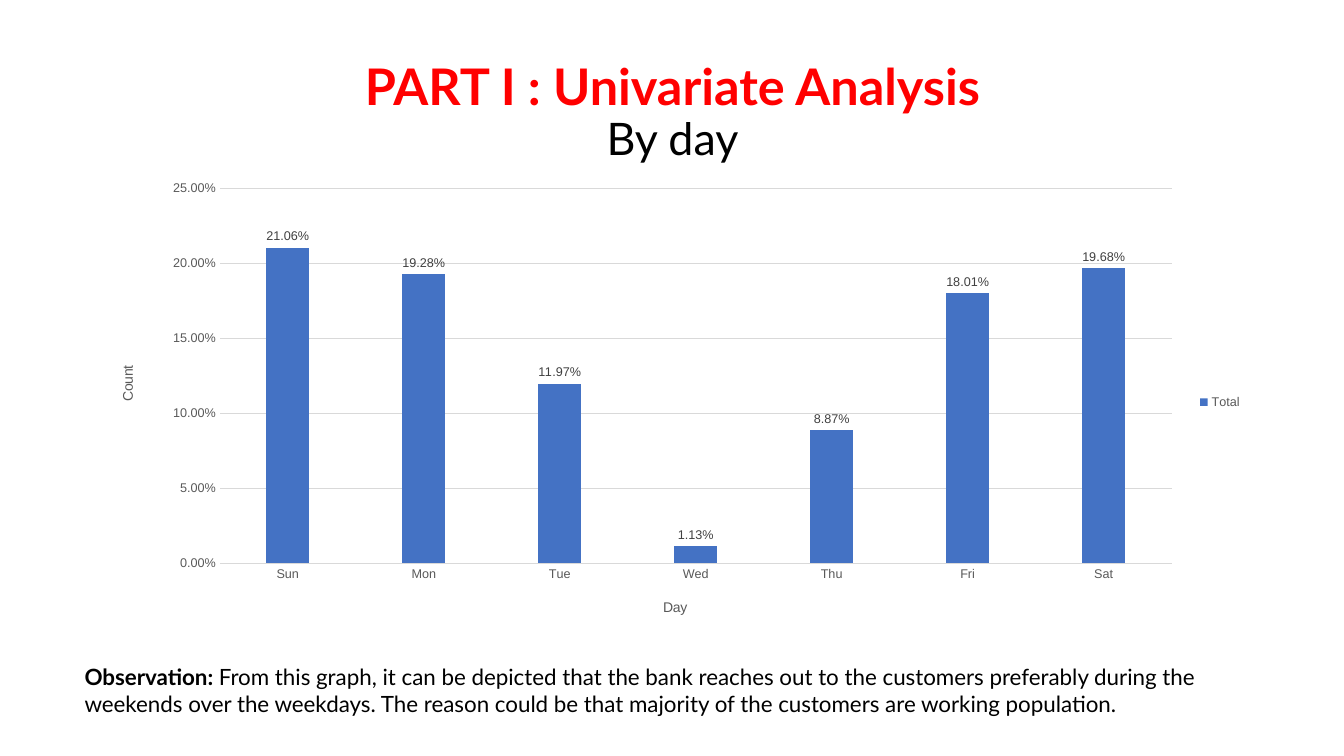
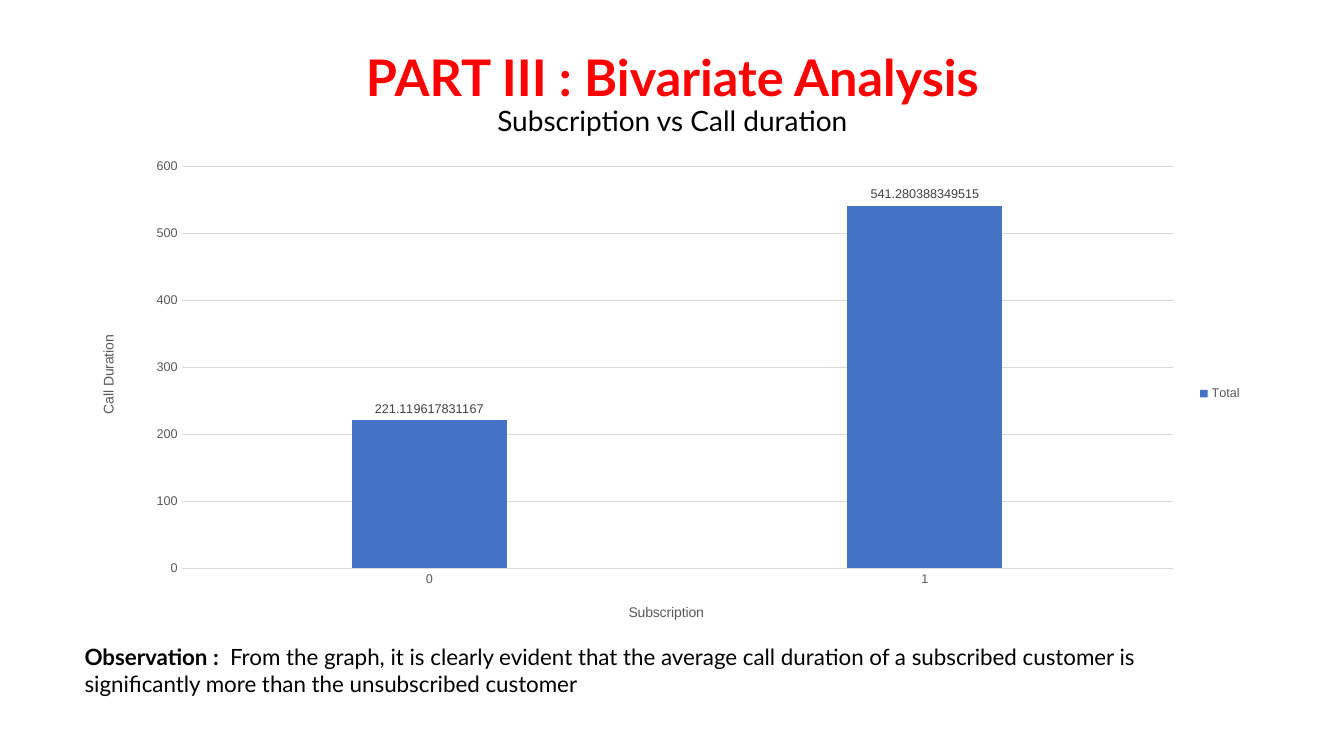
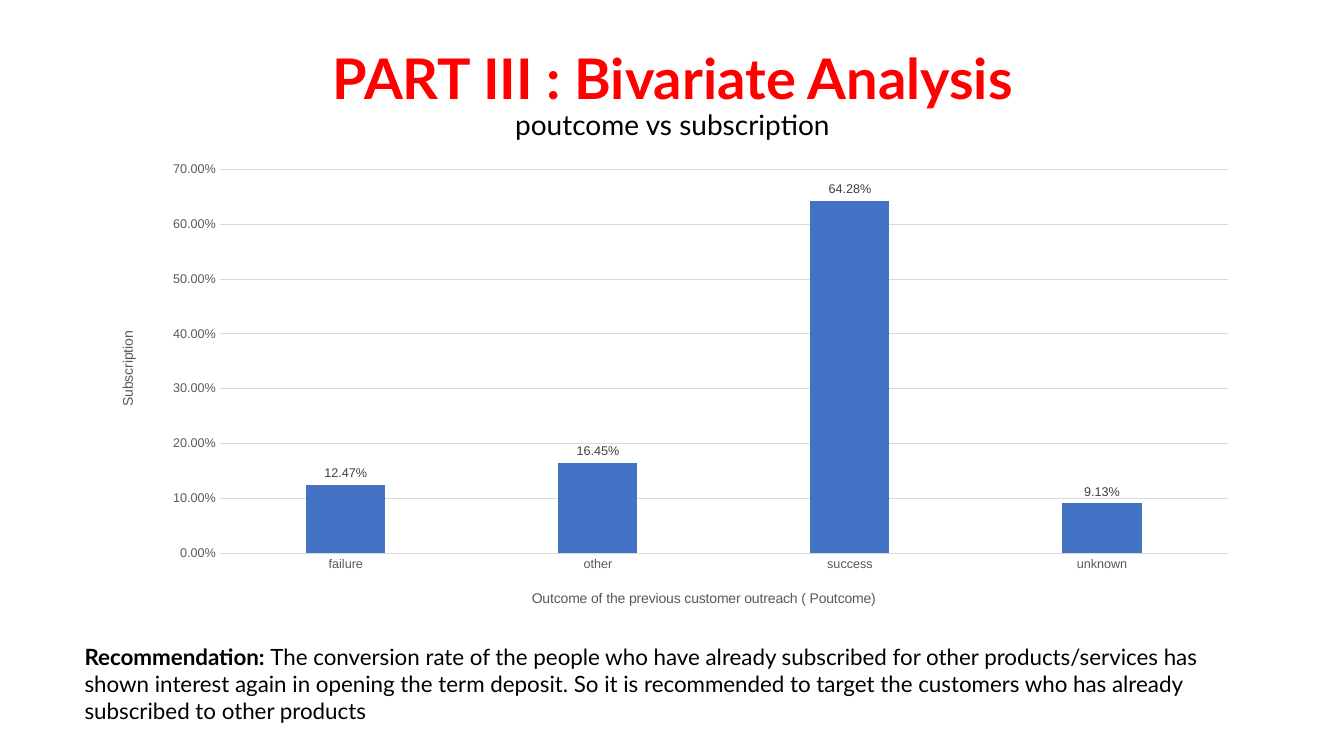
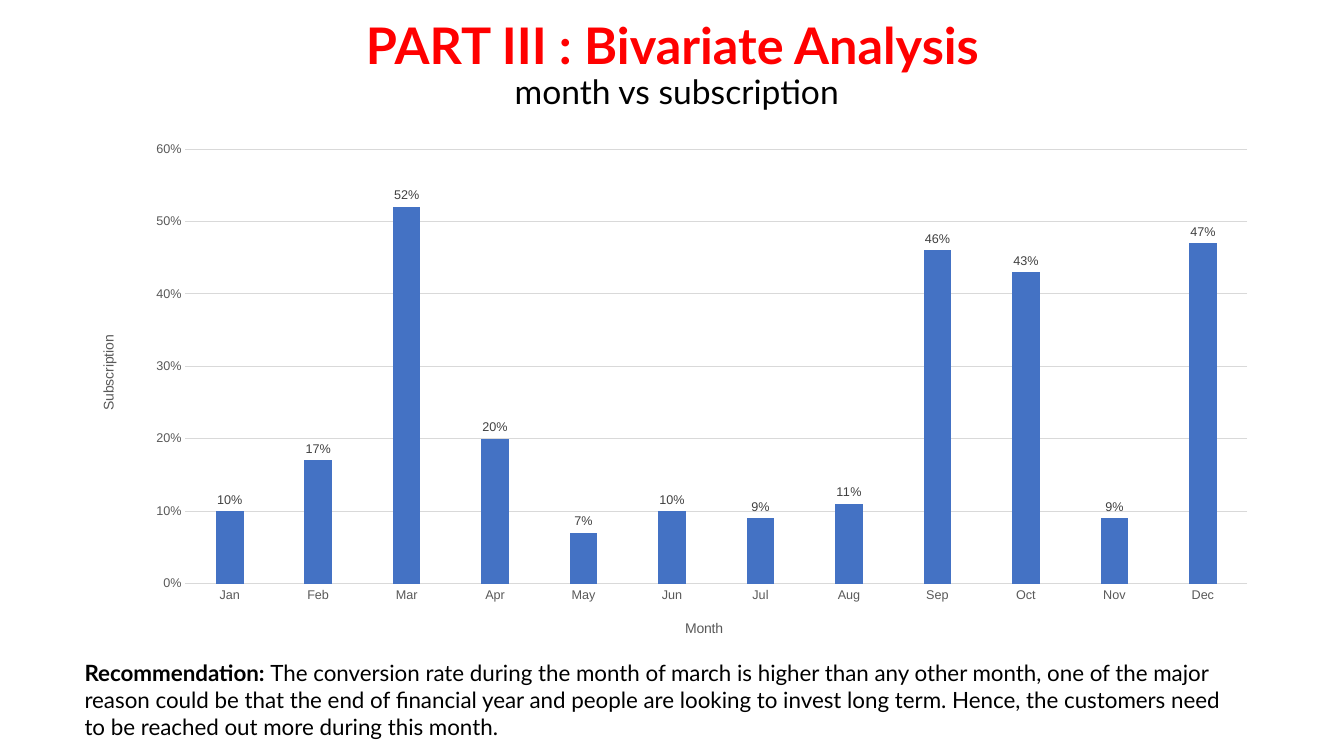
import pptx
import pptx.chart.data
import pptx.dml.color
import pptx.enum.chart
import pptx.enum.text
import pptx.oxml
import pptx.oxml.ns
import pptx.util
from pptx.util import Inches, Pt

COLOURS = {"title": "FF0000", "text": "000000", "bar": "4472C4",
           "axis": "595959", "label": "404040", "grid": "D9D9D9"}
TEXT_FONT, CHART_FONT = "Lato", "Arial"
TITLE_LEFT, TITLE_WIDTH, TITLE_HEIGHT = 0.92, 11.5, 1.1
NOTE_LEFT, NOTE_WIDTH = 0.74, 11.68

# Boxes are (left, top, width, height) and points (left, top), in inches on the page.
SLIDES = [
    {
        "title": "PART I : Univariate Analysis", "subtitle": "By day",
        "title_top": 0.57, "title_size": 36, "subtitle_size": 32,
        "heading": "Observation: ",
        "note": "From this graph, it can be depicted that the bank reaches out to the customers "
                "preferably during the weekends over the weekdays. The reason could be that "
                "majority of the customers are working population.",
        "note_top": 6.53, "note_height": 0.64,
        "chart_box": (0.92, 1.71, 11.5, 4.56), "plot_box": (2.18, 1.87, 9.44, 3.72),
        "category_title": ("Day", (6.55, 5.91)), "value_title": ("Count", (1.15, 3.6)),
        "series": "Total", "legend": True, "format": "0.00%", "maximum": 0.25, "step": 0.05,
        "data": {"Sun": 0.2106, "Mon": 0.1928, "Tue": 0.1197, "Wed": 0.0113,
                 "Thu": 0.0887, "Fri": 0.1801, "Sat": 0.1968},
    },
    {
        "title": "PART III : Bivariate Analysis", "subtitle": "Subscription vs Call duration",
        "title_top": 0.48, "title_size": 36, "subtitle_size": 20,
        "heading": "Observation : ",
        "note": " From the graph, it is clearly evident that the average call duration of a "
                "subscribed customer is significantly more than the unsubscribed customer",
        "note_top": 6.33, "note_height": 0.64,
        "chart_box": (0.74, 1.48, 11.68, 4.85), "plot_box": (1.8, 1.65, 9.83, 3.99),
        "category_title": ("Subscription", (6.21, 5.96)),
        "value_title": ("Call Duration", (0.96, 3.3)),
        "series": "Total", "legend": True, "format": "General", "maximum": 600, "step": 100,
        "data": {"0": 221.119617831167, "1": 541.280388349515},
    },
    {
        "title": "PART III : Bivariate Analysis", "subtitle": "poutcome vs subscription",
        "title_top": 0.46, "title_size": 40, "subtitle_size": 20,
        "heading": "Recommendation: ",
        "note": "The conversion rate of the people who have already subscribed for other "
                "products/services has shown interest again in opening the term deposit. So it is "
                "recommended to target the customers who has already subscribed to other products",
        "note_top": 6.33, "note_height": 0.91,
        "chart_box": (0.92, 1.52, 11.5, 4.68), "plot_box": (2.18, 1.68, 10, 3.81),
        "category_title": ("Outcome of the previous customer outreach ( Poutcome)", (5.25, 5.82)),
        "value_title": ("Subscription", (1.15, 3.26)),
        "series": "Series 1", "legend": False, "format": "0.00%", "maximum": 0.7, "step": 0.1,
        "data": {"failure": 0.1247, "other": 0.1645, "success": 0.6428, "unknown": 0.0913},
    },
    {
        "title": "PART III : Bivariate Analysis", "subtitle": " month vs subscription",
        "title_top": 0.16, "title_size": 36, "subtitle_size": 24,
        "heading": "Recommendation: ",
        "note": "The conversion rate during the month of march is higher than any other month, one "
                "of the major reason could be that the end of financial year and people are looking "
                "to invest long term. Hence, the customers need to be reached out more during this "
                "month.",
        "note_top": 6.49, "note_height": 0.91,
        "chart_box": (0.74, 1.31, 11.86, 5.17), "plot_box": (1.84, 1.48, 10.53, 4.31),
        "category_title": ("Month", (6.77, 6.12)), "value_title": ("Subscription", (0.96, 3.3)),
        "series": "Series 1", "legend": False, "format": "0%", "maximum": 0.6, "step": 0.1,
        "data": {"Jan": 0.1, "Feb": 0.17, "Mar": 0.52, "Apr": 0.2, "May": 0.07, "Jun": 0.1,
                 "Jul": 0.09, "Aug": 0.11, "Sep": 0.46, "Oct": 0.43, "Nov": 0.09, "Dec": 0.47},
    },
]


def colour(name):
    return pptx.dml.color.RGBColor.from_string(COLOURS[name])


def style_font(font, name, size, colour_name, bold=False):
    font.name, font.size, font.bold = name, Pt(size), bold
    font.color.rgb = colour(colour_name)


def add_text_box(page, box):
    frame = page.shapes.add_textbox(*map(Inches, box)).text_frame
    frame.word_wrap = True
    return frame.paragraphs[0]


def add_title(page, slide):
    paragraph = add_text_box(page, (TITLE_LEFT, slide["title_top"], TITLE_WIDTH, TITLE_HEIGHT))
    paragraph.text = slide["title"] + "\v" + slide["subtitle"]
    paragraph.alignment = pptx.enum.text.PP_ALIGN.CENTER
    paragraph.line_spacing = 0.9
    title, subtitle = paragraph.runs
    style_font(title.font, TEXT_FONT, slide["title_size"], "title", bold=True)
    style_font(subtitle.font, TEXT_FONT, slide["subtitle_size"], "text")


def add_note(page, slide):
    paragraph = add_text_box(page, (NOTE_LEFT, slide["note_top"], NOTE_WIDTH, slide["note_height"]))
    for text, bold in ((slide["heading"], True), (slide["note"], False)):
        span = paragraph.add_run()
        span.text = text
        style_font(span.font, TEXT_FONT, 16, "text", bold)


def place(element, index, chart_box, box, inner=False):
    """Give a chart part a fixed place, as fractions of the chart."""
    left, top, width, height = chart_box
    fractions = [(box[0] - left) / width, (box[1] - top) / height]
    fractions += [length / whole for length, whole in zip(box[2:], (width, height))]
    target = '<c:layoutTarget val="inner"/>' if inner else ""
    modes = '<c:xMode val="edge"/><c:yMode val="edge"/>'
    sizes = "".join(f'<c:{tag} val="{value:.4f}"/>' for tag, value in zip("xywh", fractions))
    for old in element.findall(pptx.oxml.ns.qn("c:layout")):
        element.remove(old)
    element.insert(index, pptx.oxml.parse_xml(
        f'<c:layout {pptx.oxml.ns.nsdecls("c")}><c:manualLayout>{target}{modes}{sizes}'
        "</c:manualLayout></c:layout>"))


def style_axis(axis, title, chart_box):
    text, point = title
    axis.major_tick_mark = axis.minor_tick_mark = pptx.enum.chart.XL_TICK_MARK.NONE
    style_font(axis.tick_labels.font, CHART_FONT, 9, "axis")
    frame = axis.axis_title.text_frame
    frame.text = text
    style_font(frame.paragraphs[0].runs[0].font, CHART_FONT, 10, "axis")
    place(axis.axis_title._element, 1, chart_box, point)


def style_line(line):
    line.color.rgb = colour("grid")
    line.width = Pt(0.75)


def add_column_chart(page, slide):
    data = pptx.chart.data.CategoryChartData(number_format=slide["format"])
    data.categories = list(slide["data"])
    data.add_series(slide["series"], list(slide["data"].values()))
    chart_box = slide["chart_box"]
    chart = page.shapes.add_chart(pptx.enum.chart.XL_CHART_TYPE.COLUMN_CLUSTERED,
                                  *map(Inches, chart_box), data).chart
    style_font(chart.font, CHART_FONT, 10, "text")
    chart.has_title = False
    chart.has_legend = slide["legend"]
    if slide["legend"]:
        chart.legend.position = pptx.enum.chart.XL_LEGEND_POSITION.RIGHT
        chart.legend.include_in_layout = False
        style_font(chart.legend.font, CHART_FONT, 9, "axis")

    style_axis(chart.category_axis, slide["category_title"], chart_box)
    style_line(chart.category_axis.format.line)
    values = chart.value_axis
    style_axis(values, slide["value_title"], chart_box)
    values.format.line.fill.background()
    style_line(values.major_gridlines.format.line)
    values.minimum_scale, values.maximum_scale = 0, slide["maximum"]
    values.major_unit = slide["step"]
    values.tick_labels.number_format = slide["format"]
    values.tick_labels.number_format_is_linked = False

    plot = chart.plots[0]
    plot.gap_width, plot.overlap, plot.vary_by_categories = 219, -27, False
    series = plot.series[0]
    series.format.fill.solid()
    series.format.fill.fore_color.rgb = colour("bar")
    labels = series.data_labels
    labels.show_value = True
    labels.position = pptx.enum.chart.XL_LABEL_POSITION.OUTSIDE_END
    labels.number_format = slide["format"]
    labels.number_format_is_linked = False
    style_font(labels.font, CHART_FONT, 9, "label")
    plot_area = chart._chartSpace.find(".//" + pptx.oxml.ns.qn("c:plotArea"))
    place(plot_area, 0, chart_box, slide["plot_box"], inner=True)


def main():
    deck = pptx.Presentation()
    deck.slide_width, deck.slide_height = Inches(13.33), Inches(7.5)
    for slide in SLIDES:
        page = deck.slides.add_slide(deck.slide_layouts[6])
        add_title(page, slide)
        add_note(page, slide)
        add_column_chart(page, slide)
    deck.save("out.pptx")


if __name__ == "__main__":
    main()
